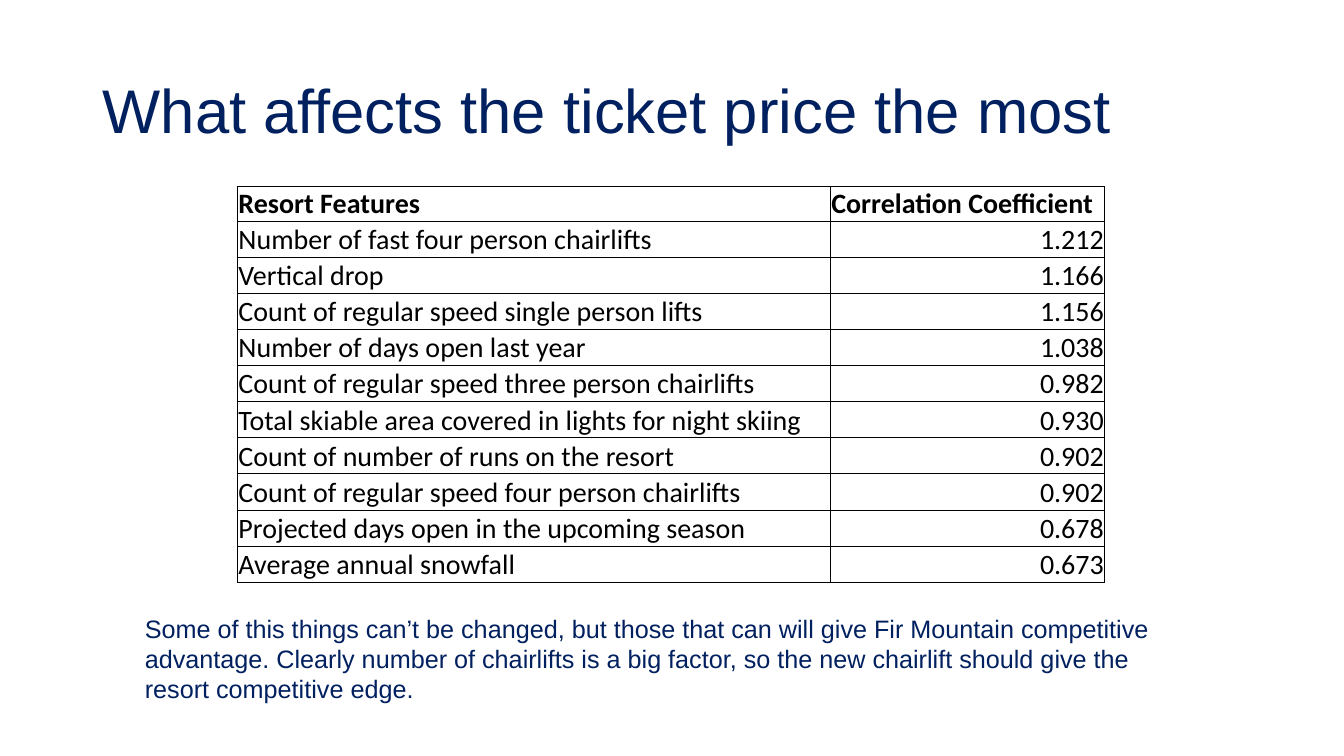
"""Build the slide on resort features that drive the ticket price."""
from dataclasses import dataclass

from lxml import etree
from pptx import Presentation
from pptx.dml.color import RGBColor
from pptx.enum.text import MSO_ANCHOR, PP_ALIGN
from pptx.oxml.ns import qn
from pptx.slide import Slide
from pptx.table import _Cell
from pptx.util import Cm, Pt

MIDDLE, TOP, BOTTOM = MSO_ANCHOR.MIDDLE, MSO_ANCHOR.TOP, MSO_ANCHOR.BOTTOM
LEFT, RIGHT = PP_ALIGN.LEFT, PP_ALIGN.RIGHT
NAVY = RGBColor(0x00, 0x20, 0x60)
BLACK = RGBColor(0x00, 0x00, 0x00)
HEADER_HEIGHT, ROW_HEIGHT = 0.84, 0.91
COLUMN_WIDTHS = (14.94, 6.91)
BORDER_WIDTH = Pt(0.5)


@dataclass(frozen=True)
class TextBlock:
    text: str
    left: float
    top: float
    width: float
    height: float
    size: int
    anchor: MSO_ANCHOR
    line_spacing: float


@dataclass(frozen=True)
class Feature:
    name: str
    coefficient: str


TEXT_BLOCKS = (
    TextBlock("What affects the ticket price the most",
              2.34, 1.02, 29.21, 3.68, 44, MIDDLE, 0.9),
    TextBlock("Some of this things can’t be changed, but those that can will give "
              "Fir Mountain competitive advantage. Clearly number of chairlifts is a "
              "big factor, so the new chairlift should give the resort competitive edge.",
              3.4, 15.32, 26.31, 2.57, 18, TOP, 1.0),
)

FEATURES = (
    Feature("Resort Features", "Correlation Coefficient"),
    Feature("Number of fast four person chairlifts", "1.212"),
    Feature("Vertical drop", "1.166"),
    Feature("Count of regular speed single person lifts", "1.156"),
    Feature("Number of days open last year", "1.038"),
    Feature("Count of regular speed three person chairlifts", "0.982"),
    Feature("Total skiable area covered in lights for night skiing", "0.930"),
    Feature("Count of number of runs on the resort", "0.902"),
    Feature("Count of regular speed four person chairlifts", "0.902"),
    Feature("Projected days open in the upcoming season", "0.678"),
    Feature("Average annual snowfall", "0.673"),
)


def add_text_block(page: Slide, block: TextBlock) -> None:
    """Add a wrapped navy text box."""
    box = page.shapes.add_textbox(
        Cm(block.left), Cm(block.top), Cm(block.width), Cm(block.height))
    frame = box.text_frame
    frame.word_wrap = True
    frame.vertical_anchor = block.anchor
    frame.text = block.text
    para = frame.paragraphs[0]
    para.line_spacing = block.line_spacing
    font = para.runs[0].font
    font.name, font.size = "Arial", Pt(block.size)
    font.color.rgb = NAVY


def add_borders(cell: _Cell) -> None:
    """Draw a thin black line on every side of a cell."""
    properties = cell._tc.get_or_add_tcPr()
    for position, side in enumerate(("a:lnL", "a:lnR", "a:lnT", "a:lnB")):
        line = etree.Element(qn(side), w=str(BORDER_WIDTH))
        fill = etree.SubElement(line, qn("a:solidFill"))
        etree.SubElement(fill, qn("a:srgbClr"), val=str(BLACK))
        properties.insert(position, line)


def fill_cell(cell: _Cell, text: str, bold: bool, alignment: PP_ALIGN) -> None:
    """Write and format one table cell."""
    cell.margin_left = cell.margin_right = cell.margin_top = Cm(0.02)
    cell.margin_bottom = Cm(0)
    cell.vertical_anchor = BOTTOM
    cell.fill.background()
    cell.text_frame.text = text
    para = cell.text_frame.paragraphs[0]
    para.alignment = alignment
    font = para.runs[0].font
    font.name, font.size, font.bold = "Calibri", Pt(20), bold
    font.color.rgb = BLACK
    add_borders(cell)


def add_feature_table(page: Slide, features: tuple[Feature, ...]) -> None:
    """Add the table of features and their coefficients."""
    height = HEADER_HEIGHT + ROW_HEIGHT * (len(features) - 1)
    table = page.shapes.add_table(
        len(features), len(COLUMN_WIDTHS), Cm(5.99), Cm(4.7),
        Cm(sum(COLUMN_WIDTHS)), Cm(height)).table
    table.horz_banding = False
    for column, width in zip(table.columns, COLUMN_WIDTHS):
        column.width = Cm(width)
    for index, feature in enumerate(features):
        is_header = index == 0
        table.rows[index].height = Cm(HEADER_HEIGHT if is_header else ROW_HEIGHT)
        fill_cell(table.cell(index, 0), feature.name, is_header, LEFT)
        fill_cell(table.cell(index, 1), feature.coefficient, is_header,
                  LEFT if is_header else RIGHT)


def main() -> None:
    """Build and save the deck."""
    deck = Presentation()
    deck.slide_width, deck.slide_height = Cm(33.87), Cm(19.05)
    page = deck.slides.add_slide(deck.slide_layouts[6])
    for block in TEXT_BLOCKS:
        add_text_block(page, block)
    add_feature_table(page, FEATURES)
    deck.save("out.pptx")


if __name__ == "__main__":
    main()
